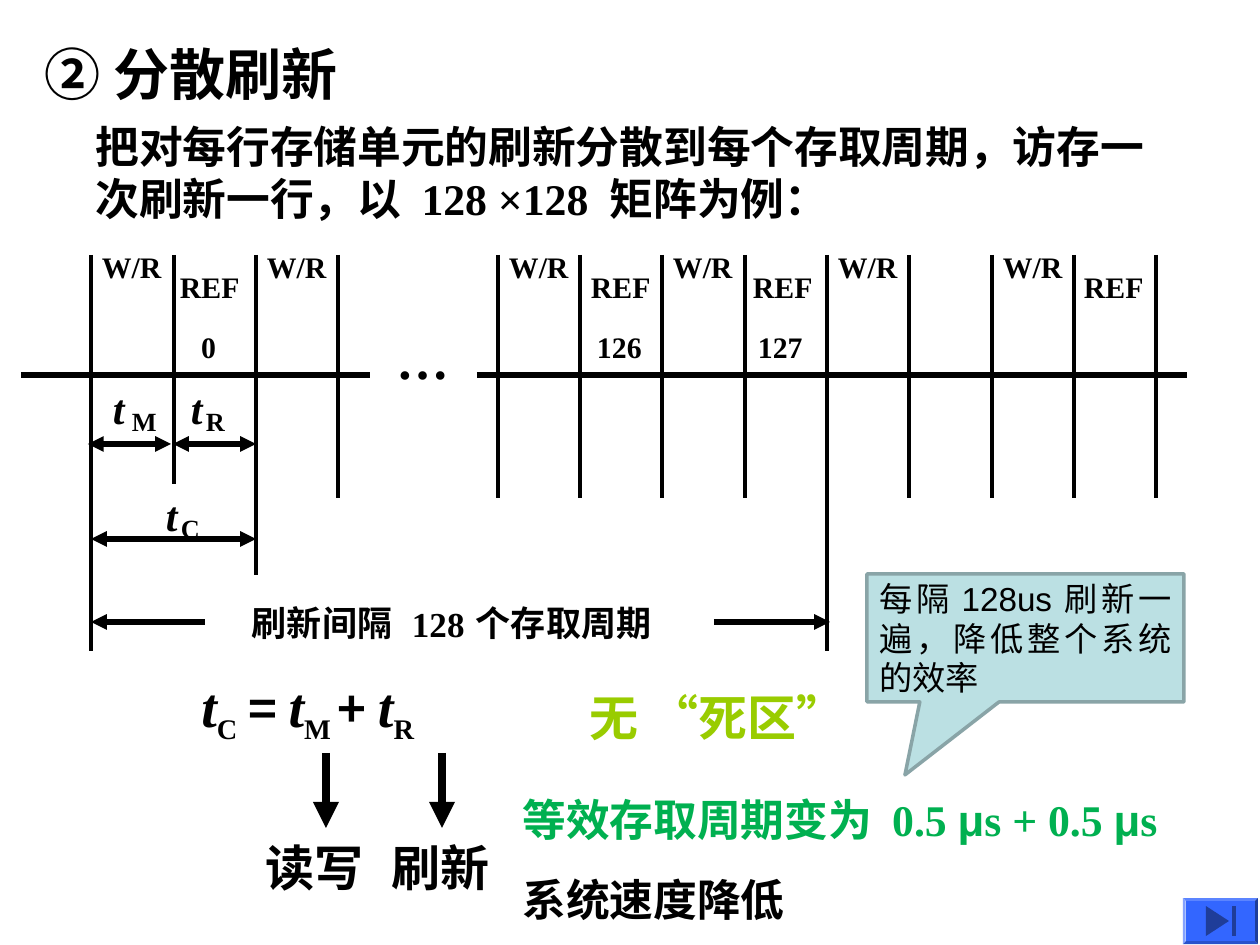
from dataclasses import dataclass

from lxml.etree import SubElement
from pptx import Presentation
from pptx.dml.color import RGBColor as RGB
from pptx.enum.shapes import MSO_CONNECTOR as Connector, MSO_SHAPE as Shape
from pptx.enum.text import MSO_ANCHOR as Anchor, MSO_AUTO_SIZE as AutoSize, PP_ALIGN as Align
from pptx.oxml.ns import qn
from pptx.util import Emu, Pt

EMU_PER_PX = 914400 / 126


@dataclass(frozen=True)
class Theme:
    ink: str = "000000"
    lime: str = "99CC00"
    green: str = "00B050"
    callout_fill: str = "BBE0E3"
    callout_line: str = "89A4A7"
    button: str = "3366FF"
    button_icon: str = "1F3D99"
    serif: str = "Times New Roman"
    sans: str = "Arial"
    cjk: str = "Noto Sans CJK SC"
    title: int = 32
    heading: int = 28
    ellipsis: int = 30
    body: int = 25
    symbol: int = 24
    interval: int = 20
    note: int = 19
    label: int = 17
    subscript: int = 15
    cjk_leading: float = 1.19


THEME = Theme()


def px(length):
    return Emu(round(length * EMU_PER_PX))


def has_cjk(text):
    return any("一" <= char <= "龥" for char in text)


def add_run(paragraph, text, color=THEME.ink, lowered=False, **formats):
    """Add a run; lowered makes it a subscript of a quarter of the height."""
    run = paragraph.add_run()
    run.text = text
    values = {"name": THEME.serif, "bold": True, **formats}
    for attribute, value in values.items():
        setattr(run.font, attribute, value)
    run.font.color.rgb = RGB.from_string(color)
    properties = run.font._element
    if lowered:
        properties.set("baseline", "-25000")
    if has_cjk(text):
        properties.set("lang", "zh-CN")
        SubElement(properties, qn("a:ea")).set("typeface", THEME.cjk)


def fill_paragraph(paragraph, runs, size, space_before=0):
    """Write (text, formats) runs; lines with Chinese get an exact line height."""
    paragraph.space_before = Pt(space_before)
    if any(has_cjk(text) for text, _ in runs):
        paragraph.line_spacing = Pt(round(size * THEME.cjk_leading, 1))
    for text, formats in runs:
        add_run(paragraph, text, **{"size": Pt(size), **formats})


def add_text(slide, box, paragraphs, size, space_before=0):
    frame = slide.shapes.add_textbox(*map(px, box)).text_frame
    frame.word_wrap = True
    frame.auto_size = AutoSize.SHAPE_TO_FIT_TEXT
    for index, runs in enumerate(paragraphs):
        paragraph = frame.add_paragraph() if index else frame.paragraphs[0]
        fill_paragraph(paragraph, runs, size, space_before if index else 0)
    return frame


def add_label(slide, box, text, size=THEME.label, **formats):
    """Add a short text without margins or wrapping."""
    frame = add_text(slide, box, [[(text, formats)]], size)
    frame.word_wrap = False
    for side in ("left", "top", "right", "bottom"):
        setattr(frame, f"margin_{side}", 0)


def add_line(slide, start, end, width, arrows=()):
    """Draw a line; arrows names its ends with a triangle: headEnd, tailEnd."""
    line = slide.shapes.add_connector(Connector.STRAIGHT, *map(px, (*start, *end)))
    line.line.color.rgb = RGB.from_string(THEME.ink)
    line.line.width = Pt(width)
    outline = line.line._get_or_add_ln()
    for arrow in arrows:
        SubElement(outline, qn(f"a:{arrow}")).set("type", "triangle")
    SubElement(line._element.spPr, qn("a:effectLst"))


def add_timeline(slide):
    axis_y, top, bottom = 375, 255, 498
    for left, right in ((21, 370), (477, 1187)):
        add_line(slide, (left, axis_y), (right, axis_y), 3)

    first_ticks = [round(91 + 82.5 * i) for i in range(4)]
    last_ticks = [round(498 + 82.25 * i) for i in range(9)]
    tick_ends = dict(zip(first_ticks, (651, 484, 575))) | {last_ticks[4]: 651}
    for x in first_ticks + last_ticks:
        add_line(slide, (x, top), (x, tick_ends.get(x, bottom)), 2.25)

    for x in first_ticks[::2] + last_ticks[:5:2] + [last_ticks[6]]:
        add_label(slide, (x + 11, 249, 66, 35), "W/R")
    for x in (180, 591, 753, 1084):
        add_label(slide, (x, 269, 66, 35), "REF")
    for x, width, row in ((201, 18, "0"), (597, 50, "126"), (758, 50, "127")):
        add_label(slide, (x, 329, width, 35), row)
    add_text(slide, (384, 321, 110, 76), [[("…", {})]], THEME.ellipsis)


def add_durations(slide):
    both = ("headEnd", "tailEnd")
    for left, right, y, arrows in (
        (88, 171, 444, both),
        (173, 256, 444, both),
        (91, 256, 539, both),
        (205, 91, 622, ("tailEnd",)),
        (714, 830, 622, ("tailEnd",)),
    ):
        add_line(slide, (left, y), (right, y), 3, arrows)

    for x, y, offset, width, letter in (
        (113, 383, 19, 28, "M"),
        (191, 383, 15, 23, "R"),
        (166, 490, 15, 23, "C"),
    ):
        add_label(slide, (x, y, 14, 50), "t", THEME.symbol, italic=True)
        add_label(slide, (x + offset, y + 22, width, 32), letter, THEME.subscript)

    for x, width, text, font in (
        (252, 150, "刷新间隔", THEME.cjk),
        (412, 58, "128", THEME.serif),
        (476, 186, "个存取周期", THEME.cjk),
    ):
        add_label(slide, (x, 602, width, 42), text, THEME.interval, name=font)


def add_formula(slide):
    variable = {"size": Pt(THEME.title), "italic": True}
    lowered = {"lowered": True}
    operator = {"name": THEME.cjk}
    formula = [
        ("t", variable), ("C", lowered), (" = ", operator),
        ("t", variable), ("M ", lowered), ("+ ", operator),
        ("t", variable), ("R", lowered),
    ]
    add_text(slide, (189, 665, 399, 87), [formula], THEME.heading)
    for arrow_x, text_x, meaning in ((326, 253, "读写"), (442, 379, "刷新")):
        add_line(slide, (arrow_x, 753), (arrow_x, 828), 5, ("tailEnd",))
        add_text(slide, (text_x, 832, 158, 72), [[(meaning, {})]], THEME.heading)


def add_conclusions(slide):
    add_text(slide, (577, 682, 399, 72), [[("无 “死区”", {"color": THEME.lime})]],
             THEME.heading)
    green = {"color": THEME.green}
    micro = ("μ", {**green, "name": THEME.sans})
    cycle = [("等效存取周期变为 0.5 ", green), micro, ("s + 0.5 ", green), micro, ("s", green)]
    add_text(slide, (510, 787, 753, 145), [cycle, [("系统速度降低", {})]],
             THEME.body, space_before=15.6)


def paint(shape, color):
    shape.shadow.inherit = False
    shape.fill.solid()
    shape.fill.fore_color.rgb = RGB.from_string(color)
    shape.line.fill.background()
    return shape


def add_filled_shape(slide, kind, box, color):
    return paint(slide.shapes.add_shape(kind, *map(px, box)), color)


def add_callout(slide):
    callout = add_filled_shape(slide, Shape.RECTANGULAR_CALLOUT, (867, 574, 317, 128),
                               THEME.callout_fill)
    callout.adjustments[0], callout.adjustments[1] = -0.38, 1.07
    callout.line.color.rgb = RGB.from_string(THEME.callout_line)
    callout.line.width = Pt(2)
    frame = callout.text_frame
    frame.word_wrap = True
    frame.vertical_anchor = Anchor.MIDDLE
    paragraph = frame.paragraphs[0]
    paragraph.alignment = Align.JUSTIFY
    plain = {"name": THEME.sans, "bold": False}
    fill_paragraph(paragraph, [("每隔128us刷新一遍，降低整个系统的效率", plain)], THEME.note)


def add_end_button(slide):
    face = add_filled_shape(slide, Shape.BEVEL, (1183, 898, 75, 46), THEME.button)
    face.adjustments[0] = 0.06
    builder = slide.shapes.build_freeform(1206, 906, scale=EMU_PER_PX)
    builder.add_line_segments([(1229, 921), (1206, 936)], close=True)
    paint(builder.convert_to_shape(), THEME.button_icon)
    add_filled_shape(slide, Shape.RECTANGLE, (1232, 906, 4, 30), THEME.button_icon)


def main():
    deck = Presentation()
    deck.slide_width, deck.slide_height = px(1260), px(945)
    slide = deck.slides.add_slide(deck.slide_layouts[6])

    add_text(slide, (32, 34, 924, 81), [[("② 分散刷新", {})]], THEME.title)
    intro = "把对每行存储单元的刷新分散到每个存取周期，访存一次刷新一行，以 128 ×128 矩阵为例："
    add_text(slide, (83, 114, 1076, 118), [[(intro, {})]], THEME.body)
    add_timeline(slide)
    add_durations(slide)
    add_formula(slide)
    add_conclusions(slide)
    add_callout(slide)
    add_end_button(slide)

    deck.save("out.pptx")


if __name__ == "__main__":
    main()
